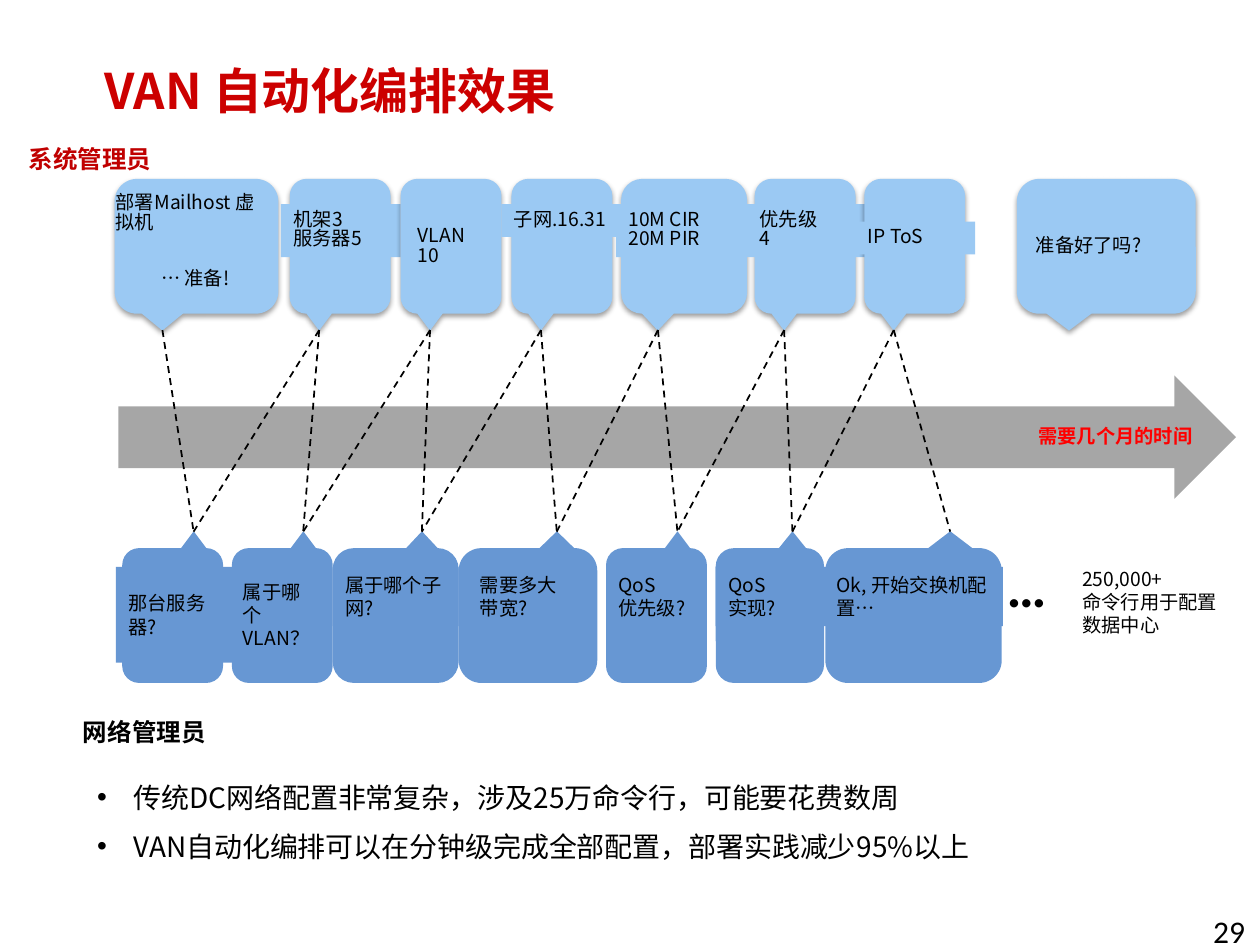
from dataclasses import dataclass

from lxml import etree
from pptx import Presentation
from pptx import util as u
from pptx.dml.color import RGBColor
from pptx.enum import dml, shapes, text
from pptx.oxml import ns

IN = u.Inches
LEFT, RIGHT = text.PP_ALIGN.LEFT, text.PP_ALIGN.RIGHT
TOP, MID = text.MSO_ANCHOR.TOP, text.MSO_ANCHOR.MIDDLE
KIND = shapes.MSO_SHAPE
TIP = 0.2083  # callout tip offset from centre, as a share of the width


@dataclass(frozen=True)
class Theme:
    sans: str = "Noto Sans CJK SC"
    latin: str = "Calibri"
    black: str = "000000"
    title: str = "CC0000"
    role: str = "C00000"
    alert: str = "FF0000"
    grey: str = "A6A6A6"
    light: str = "9BC9F3"
    dark: str = "6797D3"
    small: int = 11
    head: int = 14
    list: int = 16
    page: int = 18
    big: int = 28
    dots: int = 32


T = Theme()

# Callout x and width; label lines, box, wrap, anchor
TOPS = [
    (0.91, 1.3, None),
    (2.3, 0.8, (["机架3", "服务器5"], (2.23, 1.62, 0.95, 0.42))),
    (3.18, 0.8, ["VLAN 10"]),
    (4.06, 0.8, (["子网.16.31"], (3.98, 1.62, 0.95, 0.26))),
    (4.93, 1, (["10M CIR", "20M PIR"], (4.89, 1.62, 0.99, 0.42))),
    (5.99, 0.8, (["优先级", "4"], (5.93, 1.62, 0.95, 0.42))),
    (6.86, 0.8, (["IP ToS"], (6.79, 1.76, 0.95, 0.26))),
    (8.07, 1.42, ["准备好了吗?"]),
]
LOWS = [
    (0.97, 0.8, ["那台服务器?"], (0.92, 4.5, 0.94, 0.76), True, MID),
    (1.84, 0.8, ["属于哪个VLAN？"], (1.83, 4.5, 0.76, 0.76), True, MID),
    (2.64, 1, ["属于哪个子网?"], (2.64, 4.5, 1, 0.47), True, TOP),
    (3.64, 1.1, ["需要多大", "带宽?"], (3.71, 4.5, 0.82, 0.47), False, TOP),
    (4.81, 0.8, ["QoS", "优先级?"], (4.81, 4.5, 0.78, 0.47), False, TOP),
    (5.68, 0.86, ["QoS", "实现?"], (5.68, 4.5, 0.63, 0.47), False, TOP),
    (6.55, 1.4, ["Ok, 开始交换机配置…"], (6.54, 4.5, 1.42, 0.47), True, TOP),
]


def add_run(para, words, size=T.small, color=T.black, bold=False, face=T.sans):
    run = para.add_run()
    run.text = words
    font = run.font
    font.size, font.bold, font.name = u.Pt(size), bold, face
    font.color.rgb = RGBColor.from_string(color)
    east = etree.SubElement(run._r.get_or_add_rPr(), ns.qn("a:ea"))
    east.set("typeface", T.sans)


def write(shape, lines, wrap=True, anchor=TOP, gap=None, align=LEFT, **look):
    """Fill a shape with one paragraph a line."""
    frame = shape.text_frame
    frame.word_wrap, frame.vertical_anchor = wrap, anchor
    for i, line in enumerate(lines):
        para = frame.add_paragraph() if i else frame.paragraphs[0]
        para.alignment = align
        if gap:
            para.line_spacing = gap
        add_run(para, line, **look)


def add_text(slide, box, lines, **opts):
    shape = slide.shapes.add_textbox(*map(IN, box))
    write(shape, lines, **opts)
    return shape


def add_block(slide, kind, box, color):
    shape = slide.shapes.add_shape(kind, *map(IN, box))
    shape.shadow.inherit = False
    shape.fill.solid()
    shape.fill.fore_color.rgb = RGBColor.from_string(color)
    shape.line.fill.background()
    return shape


def add_shade(shape):
    effects = shape._element.spPr.find(ns.qn("a:effectLst"))
    shade = etree.SubElement(effects, ns.qn("a:outerShdw"), blurRad=str(u.Pt(3.1)),
                             dist=str(u.Pt(1.6)), dir="5400000", rotWithShape="0")
    color = etree.SubElement(shade, ns.qn("a:srgbClr"), val=T.black)
    etree.SubElement(color, ns.qn("a:alpha"), val="38000")


def add_top(slide, x, wide, label):
    shape = add_block(slide, KIND.ROUNDED_RECTANGULAR_CALLOUT, (x, 1.42, wide, 1.07), T.light)
    add_shade(shape)
    if isinstance(label, list):
        write(shape, label, anchor=MID, gap=0.85)
    elif label:
        lines, box = label
        write(add_block(slide, KIND.RECTANGLE, box, T.light), lines, gap=0.85)


def add_low(slide, x, wide, lines, box, wrap, anchor):
    shape = add_block(slide, KIND.ROUNDED_RECTANGULAR_CALLOUT, (x, 4.35, wide, 1.07), T.dark)
    shape.rotation = 180
    label = add_block(slide, KIND.RECTANGLE, box, T.dark)
    if x == 1.84:
        label.fill.background()
    write(label, lines, wrap=wrap, anchor=anchor)


def add_dash(slide, start, end):
    line = slide.shapes.add_connector(shapes.MSO_CONNECTOR.STRAIGHT,
                                      IN(start), IN(2.62), IN(end), IN(4.22))
    line.line.width = u.Pt(1)
    line.line.color.rgb = RGBColor.from_string(T.black)
    line.line.dash_style = dml.MSO_LINE.DASH
    etree.SubElement(line._element.spPr, ns.qn("a:effectLst"))


def place(shape, box):
    shape.left, shape.top, shape.width, shape.height = map(IN, box)


def add_list(slide, box, lines):
    body = slide.placeholders[1]
    place(body, box)
    write(body, lines, gap=u.Pt(28), size=T.list)
    body.text_frame.auto_size = text.MSO_AUTO_SIZE.NONE
    for para in body.text_frame.paragraphs:
        para.space_before = u.Pt(0)
        props = para._p.get_or_add_pPr()
        props.set("marL", str(IN(0.29)))
        props.set("indent", str(IN(-0.29)))


def main():
    deck = Presentation()
    deck.slide_width, deck.slide_height = IN(10), IN(7.5)
    slide = deck.slides.add_slide(deck.slide_layouts[1])

    # Title, roles and page number
    place(slide.shapes.title, (0.73, 0.09, 9, 1.25))
    write(slide.shapes.title, ["VAN 自动化编排效果"], anchor=MID,
          size=T.big, color=T.title, bold=True)
    add_text(slide, (0.13, 1.09, 1.18, 0.34), ["系统管理员"], wrap=False,
             size=T.head, color=T.role, bold=True)
    add_text(slide, (0.56, 5.64, 1.18, 0.34), ["网络管理员"], wrap=False,
             size=T.head, bold=True)
    add_text(slide, (9.53, 7.19, 0.5, 0.4), ["29"], wrap=False,
             size=T.page, face=T.latin)

    # Time arrow
    arrow = add_block(slide, KIND.RIGHT_ARROW, (0.94, 2.98, 8.87, 0.98), T.grey)
    write(arrow, ["需要几个月的时间"], anchor=MID, gap=0.85, align=RIGHT,
          color=T.alert, bold=True)

    # Dialogue callouts
    for item in TOPS:
        add_top(slide, *item)
    for item in LOWS:
        add_low(slide, *item)

    # Dashed links zigzag between the tips
    highs = [x + wide * (0.5 - TIP) for x, wide, _ in TOPS[:-1]]
    lows = [item[0] + item[1] * (0.5 + TIP) for item in LOWS]
    for i, low in enumerate(lows):
        for high in highs[i:i + 2]:
            add_dash(slide, high, low)

    # Free labels
    add_text(slide, (0.82, 1.49, 1.42, 0.42), ["部署Mailhost 虚拟机"], gap=0.85)
    ready = add_text(slide, (1.18, 2.09, 0.7, 0.26), ["… "], wrap=False,
                     gap=0.85, face=T.latin)
    add_run(ready.text_frame.paragraphs[0], "准备!")
    add_text(slide, (7.89, 4.33, 0.52, 0.64), ["…"], wrap=False,
             size=T.dots, bold=True, face=T.latin)
    count = add_text(slide, (8.49, 4.45, 1.28, 0.66), ["250,000+ "])
    para = count.text_frame.paragraphs[0]
    para.add_line_break()
    add_run(para, "命令行用于配置数据中心")

    # Summary list
    add_list(slide, (0.67, 6.02, 9.21, 0.89),
             ["传统DC网络配置非常复杂，涉及25万命令行，可能要花费数周",
              "VAN自动化编排可以在分钟级完成全部配置，部署实践减少95%以上"])
    deck.save("out.pptx")


if __name__ == "__main__":
    main()
